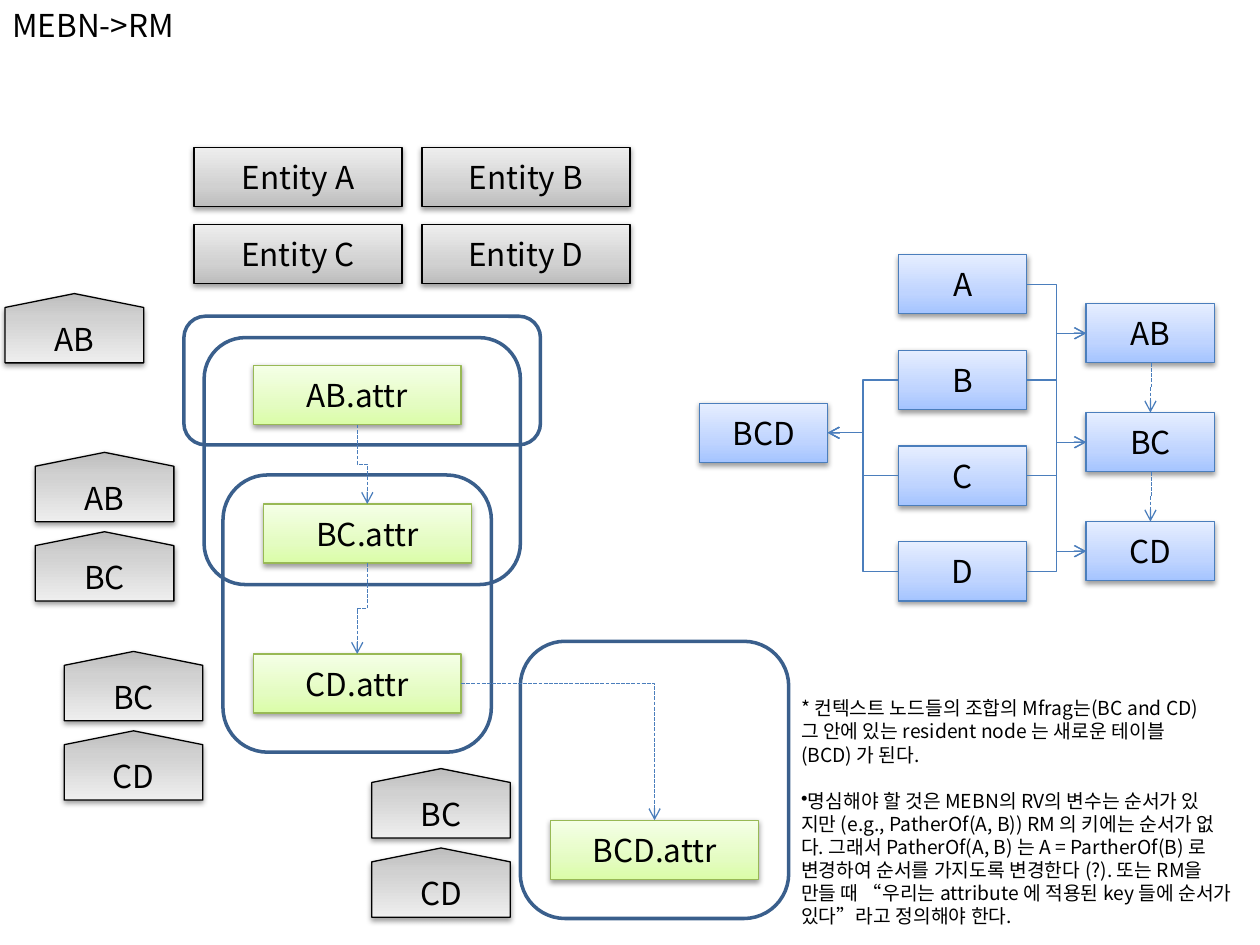
from lxml import etree
from pptx import Presentation
from pptx import util as u
from pptx.dml.color import RGBColor
from pptx.enum import dml, shapes, text
from pptx.oxml import parse_xml
from pptx.oxml.ns import nsdecls, qn

FONT = "Noto Sans CJK KR"
LINK, FRAME = "4B7EBC", "3A5F8C"
TONES = {
    "gray": (("BDBDBD", "D1D1D1", "EEEEEE"), "000000"),
    "green": (("DAFDA7", "E4FCC2", "F5FFE7"), "98B955"),
    "blue": (("A4C4FF", "BFD4FF", "E6EEFF"), LINK),
}
NOTES = [
    "* 컨텍스트 노드들의 조합의 Mfrag는(BC and CD)",
    "그 안에 있는 resident node 는 새로운 테이블",
    "(BCD) 가 된다.",
    "명심해야 할 것은 MEBN의 RV의 변수는 순서가 있",
    "지만 (e.g., PatherOf(A, B)) RM 의 키에는 순서가 없",
    "다. 그래서 PatherOf(A, B) 는 A = PartherOf(B) 로 ",
    "변경하여 순서를 가지도록 변경한다 (?). 또는 RM을",
    "만들 때 “우리는 attribute 에 적용된 key 들에 순서가",
    "있다”라고 정의해야 한다.",
]

prs = Presentation()
prs.slide_width, prs.slide_height = u.Inches(10), u.Inches(7.5)
COLS = 100
CELL = prs.slide_width // COLS


def color(value):
    return RGBColor.from_string(value)


def cells(*values):
    return [round(v * CELL) for v in values]


def style(p, size, align=None):
    p.alignment = align
    for r in p.runs:
        r.font.size, r.font.name = u.Pt(size), FONT
        r.font.color.rgb = color("000000")
        etree.SubElement(r.font._element, qn("a:ea"), typeface=FONT)


def shade(sp, tone):
    stops, line = TONES[tone]
    sp.fill.gradient()
    sp.fill.gradient_angle = 90
    gs = "".join(f'<a:gs pos="{pos}"><a:srgbClr val="{c}"/></a:gs>'
                 for pos, c in zip((0, 35000, 100000), stops))
    old = next(sp._element.iter(qn("a:gsLst")))
    old.getparent().replace(old, parse_xml(f'<a:gsLst {nsdecls("a")}>{gs}</a:gsLst>'))
    sp.line.color.rgb, sp.line.width = color(line), u.Pt(0.75)
    sp.shadow.inherit = False
    sp._element.spPr.find(qn("a:effectLst")).append(parse_xml(
        f'<a:outerShdw {nsdecls("a")} blurRad="40000" dist="20000" dir="5400000" '
        'rotWithShape="0"><a:srgbClr val="000000"><a:alpha val="38000"/>'
        '</a:srgbClr></a:outerShdw>'))


def node(s, box, words, tone):
    sp = s.shapes.add_shape(shapes.MSO_SHAPE.RECTANGLE, *cells(*box))
    shade(sp, tone)
    tf = sp.text_frame
    tf.text = words
    tf.vertical_anchor = text.MSO_ANCHOR.MIDDLE
    style(tf.paragraphs[0], 18, text.PP_ALIGN.CENTER)
    return box


def anchor(box, side):
    x, y, w, h = box
    fx, fy = {"l": (0, .5), "r": (1, .5), "t": (.5, 0), "b": (.5, 1)}[side]
    return x + w * fx, y + h * fy


def link(s, start, end, down=False, dash=False, preset=None):
    (x1, y1), (x2, y2) = start, end
    if down:
        cx, cy, dx, dy = (x1 + x2) / 2, (y1 + y2) / 2, x2 - x1, y2 - y1
        x1, y1, x2, y2 = cx - dy / 2, cy + dx / 2, cx + dy / 2, cy - dx / 2
    c = s.shapes.add_connector(shapes.MSO_CONNECTOR.ELBOW, *cells(x1, y1, x2, y2))
    c.line.color.rgb, c.line.width = color(LINK), u.Pt(0.75)
    if dash:
        c.line.dash_style = dml.MSO_LINE.SQUARE_DOT
    spPr = c._element.spPr
    if down:
        spPr.find(qn("a:xfrm")).set("rot", "5400000")
    if preset:
        spPr.find(qn("a:prstGeom")).set("prst", preset)
    etree.SubElement(spPr.find(qn("a:ln")), qn("a:tailEnd"), type="arrow")
    etree.SubElement(spPr, qn("a:effectLst"))


def label(s, box, lines, size, align=None):
    tb = s.shapes.add_textbox(*cells(*box))
    tf = tb.text_frame
    tf.text = "\n".join(lines)
    tf.word_wrap = align is not None
    for p in tf.paragraphs:
        style(p, size, align)
        p.line_spacing = u.Pt(size * 1.2)
    return tf


def entities(s, left, top):
    for i, name in enumerate("ABCD"):
        row, col = divmod(i, 2)
        node(s, (left + 18.1 * col, top + 6.1 * row, 16.5, 4.7), f"Entity {name}", "gray")


def fragments(s, left, top):
    spots = {"AB": (5.5, 3.9), "BC": (6.3, 14.9), "CD": (5.5, 26.8), "BCD": (29.1, 40)}
    boxes = {k: node(s, (left + x, top + y, 16.5, 4.7), f"{k}.attr", "green")
             for k, (x, y) in spots.items()}
    for x, y, w, h in ((0, 0, 28.3, 10.2), (1.6, 1.7, 25.1, 19.6),
                       (3.1, 12.6, 21.3, 22), (26.7, 25.8, 21.3, 22)):
        sp = s.shapes.add_shape(shapes.MSO_SHAPE.ROUNDED_RECTANGLE,
                                *cells(left + x, top + y, w, h))
        sp.fill.background()
        sp.line.color.rgb, sp.line.width = color(FRAME), u.Pt(2)
        sp.shadow.inherit = False
    for a, b in (("AB", "BC"), ("BC", "CD")):
        link(s, anchor(boxes[a], "b"), anchor(boxes[b], "t"), down=True, dash=True)
    link(s, anchor(boxes["CD"], "r"), anchor(boxes["BCD"], "t"), dash=True,
         preset="bentConnector2")


def schema(s, left, top):
    def column(names, x, y, pitch):
        return [node(s, (left + x, top + y + pitch * i, 10.2, 4.7), name, "blue")
                for i, name in enumerate(names)]

    singles = column("ABCD", 15.8, 0, 7.6)
    pairs = column(("AB", "BC", "CD"), 30.7, 3.9, 8.65)
    triple, = column(("BCD",), 0, 11.8, 0)
    for i, pair in enumerate(pairs):
        for single in singles[i:i + 2]:
            link(s, anchor(single, "r"), anchor(pair, "l"))
    for single in singles[1:]:
        link(s, anchor(single, "l"), anchor(triple, "r"))
    for a, b in zip(pairs, pairs[1:]):
        x, y = anchor(a, "b")
        link(s, (x + 0.1, y), anchor(b, "t"), down=True, dash=True)


def tags(s, left, top, names):
    for i, name in enumerate(names):
        y = top + 6.3 * i
        sp = s.shapes.add_shape(shapes.MSO_SHAPE.FLOWCHART_OFFPAGE_CONNECTOR,
                                *cells(left, y, 11, 5.5))
        sp.rotation = 180
        shade(sp, "gray")
        label(s, (left, y + 1.6, 11, 4), [name], 18, text.PP_ALIGN.CENTER)


def notes(s, left, top):
    p = label(s, (left, top, 38.4, 21.4), NOTES, 11).paragraphs[3]
    p.space_before = u.Pt(13.2)
    etree.SubElement(p._p.get_or_add_pPr(), qn("a:buChar"), char="•")


s = prs.slides.add_slide(prs.slide_layouts[6])
label(s, (0, 0, 15.7, 4), ["MEBN->RM"], 18)
entities(s, 15.4, 11.7)
fragments(s, 14.6, 25.1)
schema(s, 55.5, 20.2)
for left, top, names in ((0.4, 23.3, ["AB"]), (2.8, 35.9, ["AB", "BC"]),
                         (5.1, 51.7, ["BC", "CD"]), (29.5, 61, ["BC", "CD"])):
    tags(s, left, top, names)
notes(s, 62.6, 54.8)
prs.save("out.pptx")
